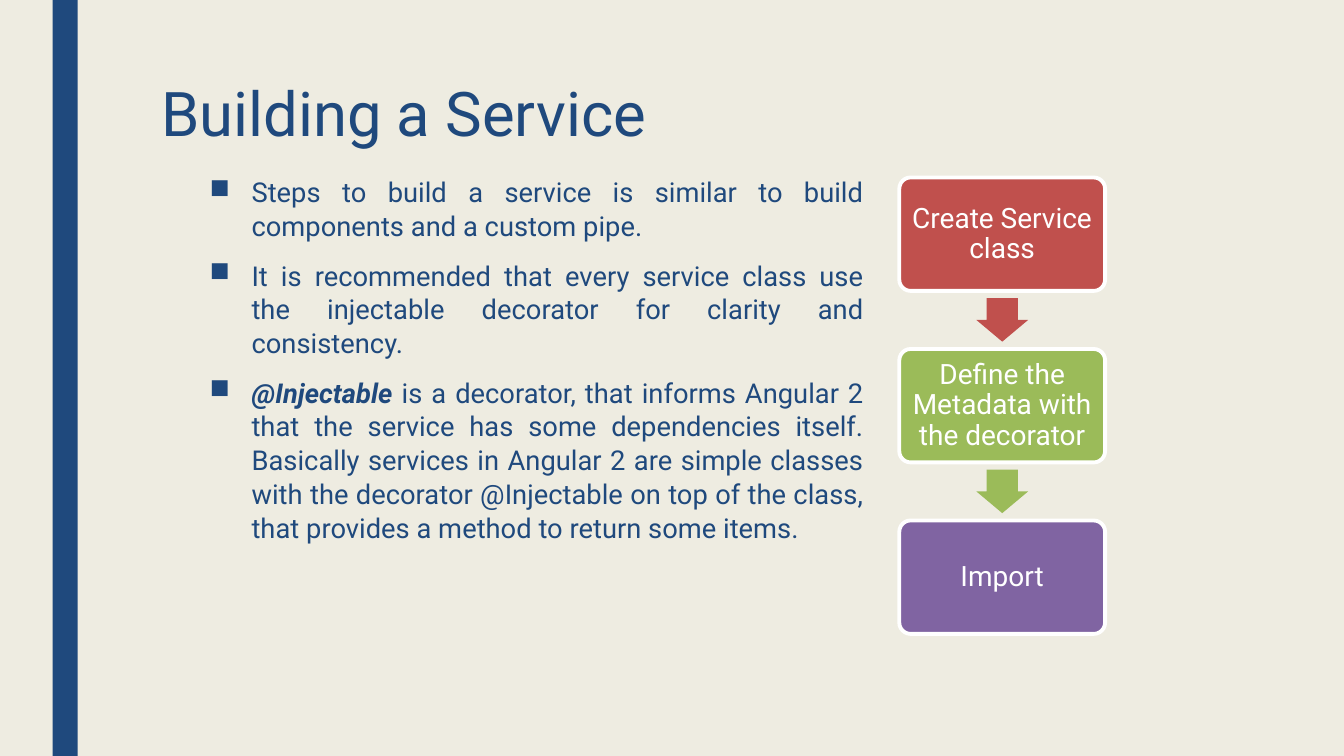
from lxml import etree
from pptx import Presentation
from pptx.dml.color import RGBColor
from pptx.enum import shapes, text
from pptx.oxml import ns
from pptx.util import Pt

FONT = "Roboto"
NAVY, CREAM, WHITE = "1F497D", "EEECE1", "FFFFFF"
BULLETS = [
    [("Steps to build a service is similar to build components and a custom pipe.", False)],
    [("It is recommended that every service class use the injectable decorator "
      "for clarity and consistency.", False)],
    [("@Injectable", True),
     (" is a decorator, that informs Angular 2 that the service has some dependencies itself. "
      "Basically services in Angular 2 are simple classes with the decorator @Injectable "
      "on top of the class, that provides a method to return some items.", False)],
]
STEPS = [
    ("Create Service class", "C0504D"),
    ("Define the Metadata with the decorator", "9BBB59"),
    ("Import", "8064A2"),
]


def colour(value):
    return RGBColor.from_string(value)


def add_span(para, words, size, fill=NAVY, strong=False):
    span = para.add_run()
    span.text = words
    font = span.font
    font.name, font.size = FONT, Pt(size)
    font.bold = font.italic = strong
    font.color.rgb = colour(fill)


def set_frame(shape, anchor, insets):
    """Wrap the text of a shape; insets are left, top, right, bottom."""
    frame = shape.text_frame
    frame.word_wrap = True
    frame.auto_size = text.MSO_AUTO_SIZE.NONE
    frame.vertical_anchor = anchor
    (frame.margin_left, frame.margin_top,
     frame.margin_right, frame.margin_bottom) = map(Pt, insets)
    return frame


def place(shape, left, top, width, height):
    shape.left, shape.top, shape.width, shape.height = map(Pt, (left, top, width, height))


def add_block(page, kind, box, fill):
    block = page.shapes.add_shape(kind, *map(Pt, box))
    block.shadow.inherit = False
    block.fill.solid()
    block.fill.fore_color.rgb = colour(fill)
    block.line.fill.background()
    return block


def set_title(page, box, words):
    title = page.shapes.title
    place(title, *box)
    frame = set_frame(title, text.MSO_ANCHOR.TOP, (7.2, 6, 7.2, 3.6))
    para = frame.paragraphs[0]
    para.alignment = text.PP_ALIGN.LEFT
    para.line_spacing = 0.89
    add_span(para, words, 44)


def add_bullet(para, sign, indent):
    props = para._p.get_or_add_pPr()
    props.set("marL", str(Pt(indent)))
    props.set("indent", str(-Pt(indent)))
    etree.SubElement(props, ns.qn("a:buChar")).set("char", sign)


def add_bullet_list(page, box, items):
    body = page.shapes.add_textbox(*map(Pt, box))
    frame = set_frame(body, text.MSO_ANCHOR.TOP, (7.2, 3.6, 7.2, 3.6))
    for number, item in enumerate(items):
        para = frame.add_paragraph() if number else frame.paragraphs[0]
        para.alignment = text.PP_ALIGN.JUSTIFY
        para.line_spacing = 1.03
        para.space_before, para.space_after = Pt(9.4), Pt(2)
        add_bullet(para, "■", 30)
        for words, strong in item:
            add_span(para, words, 19.5, strong=strong)


def add_step_flow(page, box, steps):
    """Stack the steps in the box, with a down arrow in each gap."""
    left, top, width, height = box
    step_height, arrow_width, arrow_height = 81, 37, 31
    pitch = (height - step_height) / (len(steps) - 1)
    gap = pitch - step_height
    for number, (words, fill) in enumerate(steps):
        step_top = top + number * pitch
        step = add_block(page, shapes.MSO_SHAPE.ROUNDED_RECTANGLE,
                         (left, step_top, width, step_height), fill)
        step.adjustments[0] = 0.1
        step.line.color.rgb = colour(WHITE)
        step.line.width = Pt(2.75)
        para = set_frame(step, text.MSO_ANCHOR.MIDDLE, (5, 5, 5, 5)).paragraphs[0]
        para.alignment = text.PP_ALIGN.CENTER
        para.line_spacing = 0.9
        add_span(para, words, 20, WHITE)
        if number < len(steps) - 1:
            arrow = add_block(page, shapes.MSO_SHAPE.DOWN_ARROW,
                              (left + (width - arrow_width) / 2,
                               step_top + step_height + (gap - arrow_height) / 2,
                               arrow_width, arrow_height), fill)
            arrow.adjustments[0], arrow.adjustments[1] = 0.6, 0.5


def build_service_page(deck):
    page = deck.slides.add_slide(deck.slide_layouts[5])
    page.background.fill.solid()
    page.background.fill.fore_color.rgb = colour(CREAM)
    add_block(page, shapes.MSO_SHAPE.RECTANGLE, (37.5, 0, 18, 540), NAVY)
    set_title(page, (108, 54, 756, 116.6), "Building a Service")
    add_bullet_list(page, (142.6, 121, 481.7, 371.5), BULLETS)
    add_step_flow(page, (642.4, 126.8, 147, 326), STEPS)


def main():
    deck = Presentation()
    deck.slide_width, deck.slide_height = Pt(960), Pt(540)
    build_service_page(deck)
    deck.save("out.pptx")


if __name__ == "__main__":
    main()
